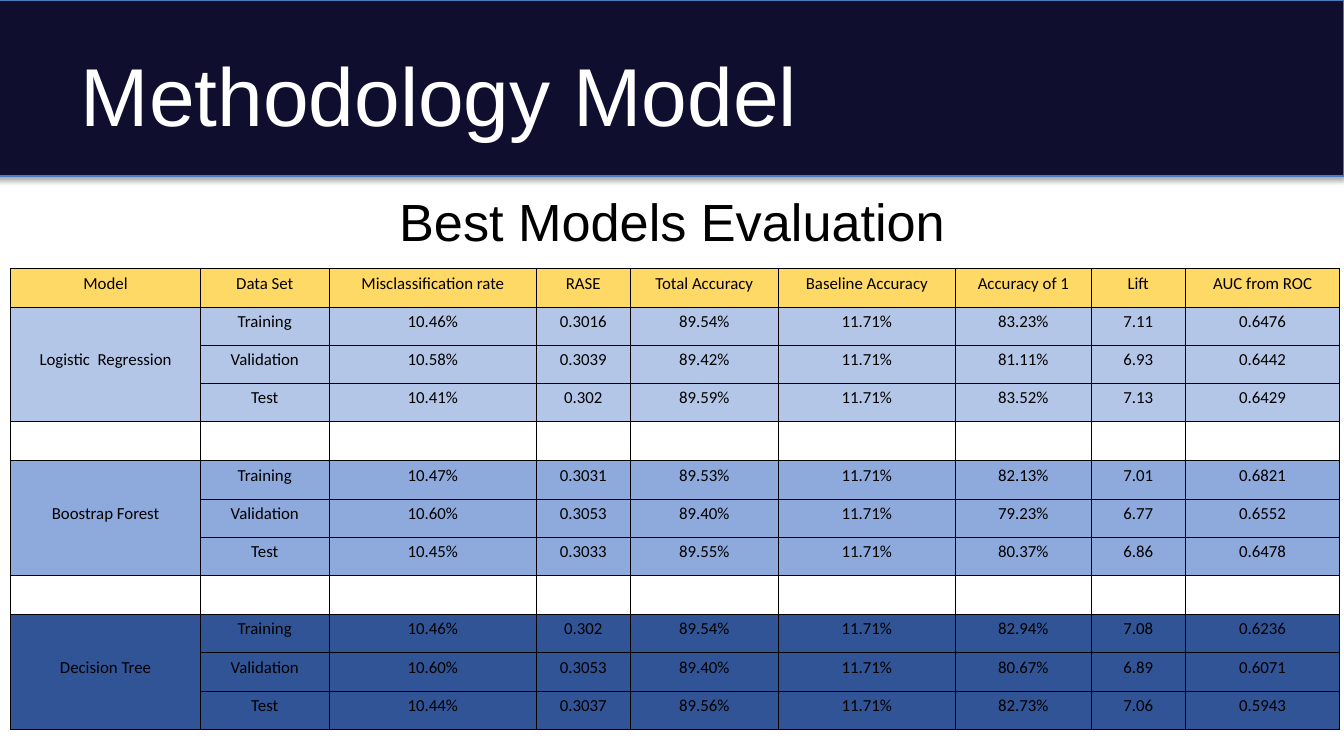
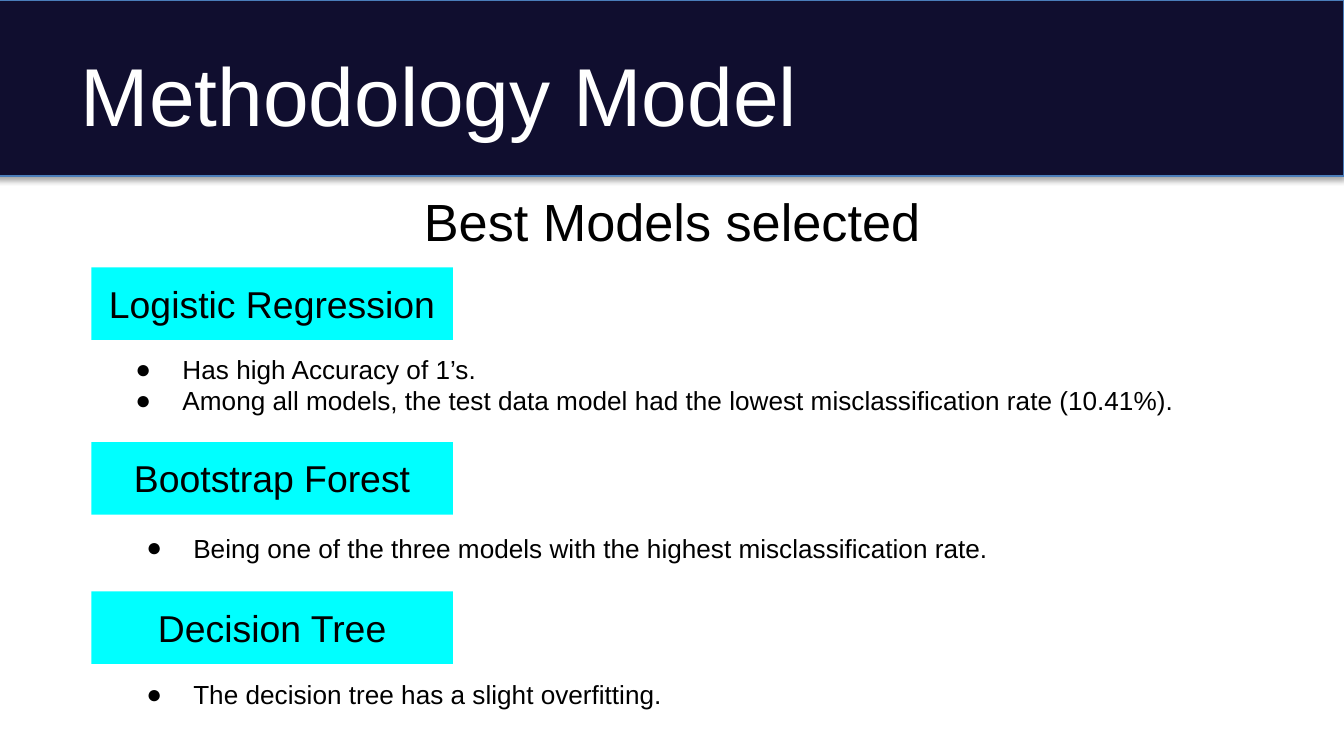
from dataclasses import dataclass
from itertools import product
from typing import NamedTuple

from lxml.etree import SubElement
from pptx import Presentation
from pptx.dml.color import RGBColor
from pptx.enum.shapes import MSO_SHAPE
from pptx.enum.text import MSO_ANCHOR, MSO_AUTO_SIZE, PP_ALIGN
from pptx.oxml import parse_xml
from pptx.oxml.ns import nsdecls, qn
from pptx.slide import Slide, SlideLayout
from pptx.table import _Cell
from pptx.text.text import TextFrame, _Paragraph
from pptx.util import Inches, Pt


@dataclass(frozen=True)
class Theme:
    font: str = "Arial"
    table_font: str = "Calibri"
    band: str = "100E2F"
    band_line: str = "4A7DBA"
    title_text: str = "FFFFFF"
    text: str = "000000"
    label: str = "00FFFF"
    header: str = "FFD966"
    title_size: float = 44
    subtitle_size: float = 28
    label_size: float = 20
    bullet_size: float = 14
    table_size: float = 9
    border_width: float = 0.5


THEME = Theme()


class Box(NamedTuple):
    left: float
    top: float
    width: float
    height: float

    def lengths(self) -> list[int]:
        return [Inches(value) for value in self]


class ModelResult(NamedTuple):
    name: str
    fill: str
    scores: list[list[str]]


class SelectedModel(NamedTuple):
    name: str
    label_top: float
    bullets_left: float
    bullets_top: float
    bullets_height: float
    bullets: list[str]


BAND = Box(-0.04, 0, 10.04, 1.31)
TITLE = Box(0.5, 0.23, 9, 0.94)
SUBTITLE = Box(0.5, 1.36, 9, 0.63)
TABLE = Box(0.08, 2, 9.89, 3.27)
ROW_HEIGHT = 0.21
EMPTY_ROW_HEIGHT = 0.29

COLUMNS = {
    "Model": 1.41,
    "Data Set": 0.96,
    "Misclassification rate": 1.54,
    "RASE": 0.7,
    "Total Accuracy": 1.1,
    "Baseline Accuracy": 1.32,
    "Accuracy of 1": 1.01,
    "Lift": 0.7,
    "AUC from ROC": 1.15,
}
DATA_SETS = ["Training", "Validation", "Test"]
RESULTS = [
    ModelResult("Logistic  Regression", "B4C6E7", [
        ["10.46%", "0.3016", "89.54%", "11.71%", "83.23%", "7.11", "0.6476"],
        ["10.58%", "0.3039", "89.42%", "11.71%", "81.11%", "6.93", "0.6442"],
        ["10.41%", "0.302", "89.59%", "11.71%", "83.52%", "7.13", "0.6429"],
    ]),
    ModelResult("Boostrap Forest", "8EA9DB", [
        ["10.47%", "0.3031", "89.53%", "11.71%", "82.13%", "7.01", "0.6821"],
        ["10.60%", "0.3053", "89.40%", "11.71%", "79.23%", "6.77", "0.6552"],
        ["10.45%", "0.3033", "89.55%", "11.71%", "80.37%", "6.86", "0.6478"],
    ]),
    ModelResult("Decision Tree", "305496", [
        ["10.46%", "0.302", "89.54%", "11.71%", "82.94%", "7.08", "0.6236"],
        ["10.60%", "0.3053", "89.40%", "11.71%", "80.67%", "6.89", "0.6071"],
        ["10.44%", "0.3037", "89.56%", "11.71%", "82.73%", "7.06", "0.5943"],
    ]),
]
SELECTED = [
    SelectedModel("Logistic Regression", 1.99, 0.76, 2.53, 0.67, [
        "Has high Accuracy of 1’s.",
        "Among all models, the test data model had the lowest misclassification rate (10.41%).",
    ]),
    SelectedModel("Bootstrap Forest", 3.29, 0.84, 3.86, 0.44, [
        "Being one of the three models with the highest misclassification rate.",
    ]),
    SelectedModel("Decision Tree", 4.4, 0.84, 4.95, 0.44, [
        "The decision tree has a slight overfitting.",
    ]),
]


def format_runs(paragraph: _Paragraph, size: float, color: str = THEME.text,
                font: str = THEME.font) -> None:
    for run in paragraph.runs:
        run.font.name = font
        run.font.size = Pt(size)
        run.font.color.rgb = RGBColor.from_string(color)


def set_frame(text_frame: TextFrame, vertical_inset: float, anchor: MSO_ANCHOR,
              auto_size: MSO_AUTO_SIZE = MSO_AUTO_SIZE.NONE) -> None:
    text_frame.word_wrap = True
    text_frame.auto_size = auto_size
    text_frame.vertical_anchor = anchor
    text_frame.margin_left = text_frame.margin_right = Inches(0.1)
    text_frame.margin_top = text_frame.margin_bottom = Inches(vertical_inset)


def move_band_to_layout(slide: Slide, layout: SlideLayout) -> None:
    """Draw the title band once, behind everything the layout holds."""
    band = slide.shapes.add_shape(MSO_SHAPE.RECTANGLE, *BAND.lengths())
    band.fill.solid()
    band.fill.fore_color.rgb = RGBColor.from_string(THEME.band)
    band.line.color.rgb = RGBColor.from_string(THEME.band_line)
    band.line.width = Pt(0.75)
    band.shadow.inherit = False
    effects = band._element.spPr.find(qn("a:effectLst"))
    effects.append(parse_xml(
        f'<a:outerShdw {nsdecls("a")} blurRad="{Pt(3.1)}" dist="{Pt(1.8)}" '
        'dir="5400000" rotWithShape="0"><a:srgbClr val="000000">'
        '<a:alpha val="35000"/></a:srgbClr></a:outerShdw>'))
    layout.shapes._spTree.insert(2, band._element)


def add_titled_slide(presentation: Presentation, layout: SlideLayout, subtitle: str) -> Slide:
    slide = presentation.slides.add_slide(layout)
    title = slide.shapes.title
    title.left, title.top, title.width, title.height = TITLE.lengths()
    title.text_frame.text = "Methodology Model"
    set_frame(title.text_frame, 0.05, MSO_ANCHOR.MIDDLE)
    paragraph = title.text_frame.paragraphs[0]
    paragraph.alignment = PP_ALIGN.LEFT
    format_runs(paragraph, THEME.title_size, THEME.title_text)

    text_frame = slide.shapes.add_textbox(*SUBTITLE.lengths()).text_frame
    text_frame.text = subtitle
    set_frame(text_frame, 0.05, MSO_ANCHOR.TOP)
    paragraph = text_frame.paragraphs[0]
    paragraph.alignment = PP_ALIGN.CENTER
    paragraph.space_before = Pt(3.6)
    format_runs(paragraph, THEME.subtitle_size)
    return slide


def format_cell(cell: _Cell, fill: str | None) -> None:
    cell.vertical_anchor = MSO_ANCHOR.MIDDLE
    cell.margin_left = cell.margin_right = cell.margin_top = Inches(0.01)
    cell.margin_bottom = Inches(0.1)
    paragraph = cell.text_frame.paragraphs[0]
    paragraph.alignment = PP_ALIGN.CENTER
    paragraph.line_spacing = 1.15
    format_runs(paragraph, THEME.table_size, font=THEME.table_font)
    if not paragraph.runs:
        end = SubElement(paragraph._p, qn("a:endParaRPr"), sz=str(int(THEME.table_size * 100)))
        SubElement(end, qn("a:latin"), typeface=THEME.table_font)
    properties = cell._tc.get_or_add_tcPr()
    for side in ("L", "R", "T", "B"):
        properties.append(parse_xml(
            f'<a:ln{side} {nsdecls("a")} w="{Pt(THEME.border_width)}"><a:solidFill>'
            f'<a:srgbClr val="{THEME.text}"/></a:solidFill></a:ln{side}>'))
    if fill is None:
        cell.fill.background()
    else:
        cell.fill.solid()
        cell.fill.fore_color.rgb = RGBColor.from_string(fill)


def add_results_table(slide: Slide) -> None:
    """Header row, then one block of rows per model with an empty row between blocks."""
    block = len(DATA_SETS) + 1
    row_count = block * len(RESULTS)
    frame = slide.shapes.add_table(row_count, len(COLUMNS), *TABLE.lengths())
    table = frame.table
    table.first_row = table.horz_banding = False
    fills: list[str | None] = [None] * row_count
    fills[0] = THEME.header
    for index, (heading, width) in enumerate(COLUMNS.items()):
        table.columns[index].width = Inches(width)
        table.cell(0, index).text_frame.text = heading
    for number, result in enumerate(RESULTS):
        first = 1 + number * block
        last = first + len(DATA_SETS) - 1
        table.cell(first, 0).text_frame.text = result.name
        for row, (data_set, scores) in enumerate(zip(DATA_SETS, result.scores), first):
            fills[row] = result.fill
            for column, value in enumerate([data_set, *scores], 1):
                table.cell(row, column).text_frame.text = value
        table.cell(first, 0).merge(table.cell(last, 0))
    for row, fill in zip(table.rows, fills):
        row.height = Inches(ROW_HEIGHT if fill else EMPTY_ROW_HEIGHT)
    for row, column in product(range(row_count), range(len(COLUMNS))):
        format_cell(table.cell(row, column), fills[row])
    frame.height = Inches(TABLE.height)


def add_model_label(slide: Slide, model: SelectedModel) -> None:
    box = Box(0.68, model.label_top, 2.69, 0.54)
    label = slide.shapes.add_shape(MSO_SHAPE.RECTANGLE, *box.lengths())
    label.shadow.inherit = False
    label.fill.solid()
    label.fill.fore_color.rgb = RGBColor.from_string(THEME.label)
    label.line.fill.background()
    label.text_frame.text = model.name
    set_frame(label.text_frame, 0.1, MSO_ANCHOR.TOP, MSO_AUTO_SIZE.SHAPE_TO_FIT_TEXT)
    paragraph = label.text_frame.paragraphs[0]
    paragraph.alignment = PP_ALIGN.CENTER
    format_runs(paragraph, THEME.label_size)


def add_model_bullets(slide: Slide, model: SelectedModel) -> None:
    box = Box(model.bullets_left, model.bullets_top, 8.53, model.bullets_height)
    text_frame = slide.shapes.add_textbox(*box.lengths()).text_frame
    text_frame.text = "\n".join(model.bullets)
    set_frame(text_frame, 0.1, MSO_ANCHOR.TOP, MSO_AUTO_SIZE.SHAPE_TO_FIT_TEXT)
    for paragraph in text_frame.paragraphs:
        format_runs(paragraph, THEME.bullet_size)
        properties = paragraph._p.get_or_add_pPr()
        properties.set("marL", str(Inches(0.5)))
        properties.set("indent", str(Inches(-0.35)))
        color = SubElement(properties, qn("a:buClr"))
        SubElement(color, qn("a:srgbClr"), val=THEME.text)
        SubElement(properties, qn("a:buFont"), typeface=THEME.font)
        SubElement(properties, qn("a:buChar"), char="●")


def main() -> None:
    presentation = Presentation()
    presentation.slide_width = Inches(10)
    presentation.slide_height = Inches(10) * 9 // 16
    layout = presentation.slide_layouts.get_by_name("Title Only")

    evaluation = add_titled_slide(presentation, layout, "Best Models Evaluation")
    move_band_to_layout(evaluation, layout)
    add_results_table(evaluation)

    selection = add_titled_slide(presentation, layout, "Best Models selected")
    for model in SELECTED:
        add_model_label(selection, model)
        add_model_bullets(selection, model)

    presentation.save("out.pptx")


if __name__ == "__main__":
    main()
